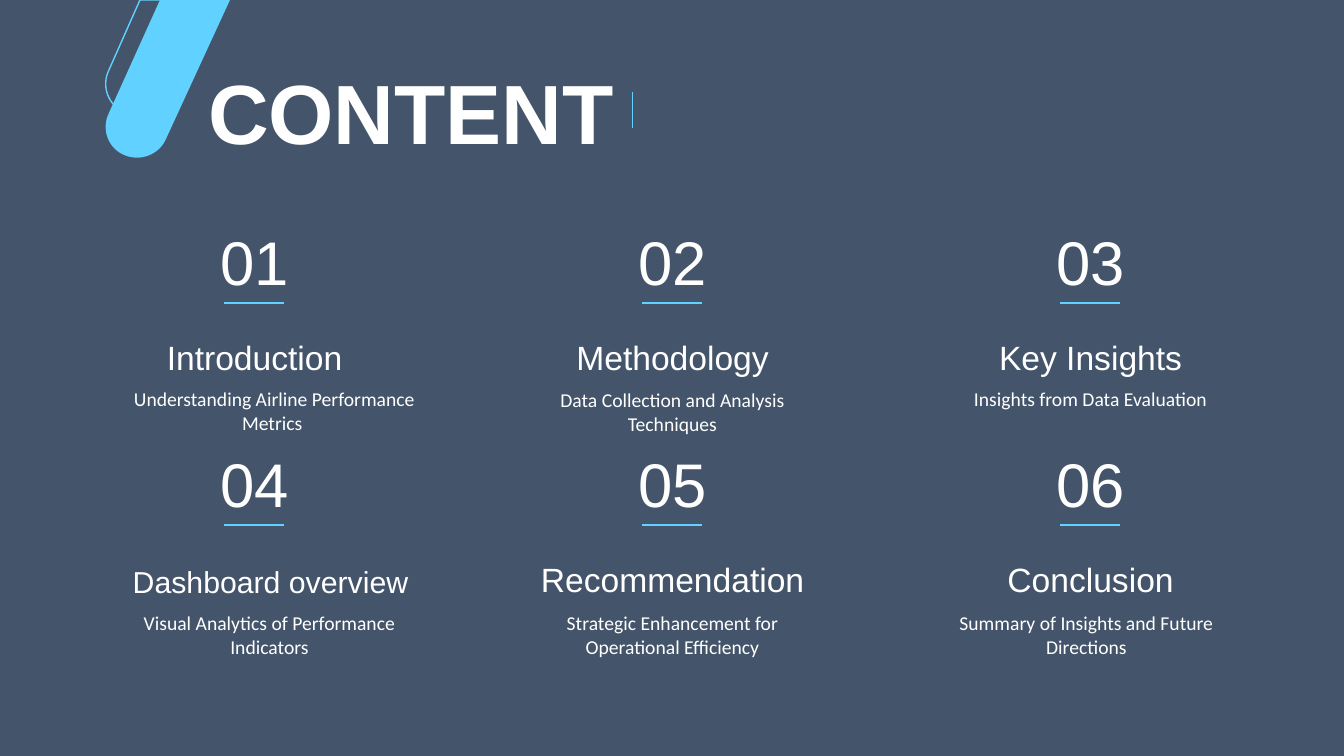
from pptx import Presentation
from pptx.dml.color import RGBColor
from pptx.enum.shapes import MSO_CONNECTOR
from pptx.enum.text import MSO_ANCHOR, PP_ALIGN
from pptx.oxml.ns import qn
from pptx.util import Emu, Pt
from lxml import etree

SCALE = 914400 / 100.8
STRAIGHT = MSO_CONNECTOR.STRAIGHT
TOP, MIDDLE, BOTTOM = MSO_ANCHOR.TOP, MSO_ANCHOR.MIDDLE, MSO_ANCHOR.BOTTOM
CENTER, RIGHT = PP_ALIGN.CENTER, PP_ALIGN.RIGHT
COLORS = {"background": "44546A", "accent": "61D2FF", "text": "FFFFFF"}

COLUMNS = 3
COLUMN_PITCH, ROW_PITCH = 418, 222
FIRST_ITEM = (109, 219, 291, 216)

# heading, heading width, heading size, detail, detail shift, detail top, detail width
ITEMS = [
    ("Introduction", 291, 24, "Understanding Airline Performance Metrics ", 20, 163, 312),
    ("Methodology", 291, 24, "Data Collection and Analysis Techniques", 0, 164, 272),
    ("Key Insights", 291, 24, "Insights from Data Evaluation", 0, 163, 272),
    ("Dashboard overview", 323, 21.6, "Visual Analytics of Performance Indicators", 15, 165, 301),
    ("Recommendation", 291, 24, "Strategic Enhancement for Operational Efficiency", 0, 165, 324),
    ("Conclusion", 291, 24, "Summary of Insights and Future Directions", -4, 165, 319),
]


def px(length):
    return Emu(round(length * SCALE))


def color(name):
    return RGBColor.from_string(COLORS[name])


def add_text(shapes, box, text, size, font, anchor=MIDDLE, align=CENTER, bold=False):
    label = shapes.add_textbox(*map(px, box))
    frame = label.text_frame
    frame.word_wrap = True
    frame.vertical_anchor = anchor
    para = frame.paragraphs[0]
    para.alignment = align
    span = para.add_run()
    span.text = text
    span.font.size = Pt(size)
    span.font.name = font
    span.font.bold = bold
    span.font.color.rgb = color("text")


def add_line(shapes, start, end, width):
    line = shapes.add_connector(STRAIGHT, *map(px, start + end))
    line.line.color.rgb = color("accent")
    line.line.width = Pt(width)
    etree.SubElement(line._element.spPr, qn("a:effectLst"))


def curve(points, steps=16):
    for step in range(1, steps + 1):
        t = step / steps
        weights = ((1 - t) ** 3, 3 * t * (1 - t) ** 2, 3 * t * t * (1 - t), t ** 3)
        yield tuple(sum(w * p[axis] for w, p in zip(weights, points)) for axis in (0, 1))


def add_slanted_bar(page, box, shoulder, end, filled):
    left, top, width = box
    x, y = shoulder
    tip = (x - 42, y + 16)
    outline = [(left + width, top), shoulder]
    outline += curve([shoulder, (x - 7, y + 16), (x - 26, y + 23), tip])
    outline += curve([tip, (x - 58, y + 9), (x - 65, y - 10), end])
    builder = page.shapes.build_freeform(px(left), px(top), scale=1)
    builder.add_line_segments([(px(a), px(b)) for a, b in outline], close=True)
    bar = builder.convert_to_shape()
    bar.shadow.inherit = False
    if filled:
        bar.fill.solid()
        bar.fill.fore_color.rgb = color("accent")
        bar.line.fill.background()
    else:
        bar.fill.background()
        bar.line.color.rgb = color("accent")
        bar.line.width = Pt(1)


def add_header(page, box):
    left, top, width, height = box
    add_slanted_bar(page, (160, 0, 70), (166, 139), (109, 113), True)
    add_slanted_bar(page, (140, 0, 71), (166, 96), (109, 70), False)
    add_text(page.shapes, box, "CONTENT", 60, "Arial", BOTTOM, RIGHT, True)
    rule_x = left + width + 8
    add_line(page.shapes, (rule_x, top + 38), (rule_x, top + 74), 0.5)


def add_item(page, box, number, item):
    heading, heading_width, heading_size, detail, shift, detail_top, detail_width = item
    left, top, width, height = box
    center = left + width / 2
    rule_y = top + 84
    shapes = page.shapes.add_group_shape().shapes
    add_text(shapes, (center - 68, top, 136, 84), f"{number:02}", 44, "Arial")
    add_line(shapes, (center - 30, rule_y), (center + 30, rule_y), 1.5)
    add_text(shapes, (left, rule_y, heading_width, 79), heading, heading_size, "Arial", BOTTOM)
    detail_left = center + shift - detail_width / 2
    add_text(shapes, (detail_left, top + detail_top, detail_width, 47), detail, 14, "Calibri", TOP)


def add_items(page, first_box):
    left, top, width, height = first_box
    for index, item in enumerate(ITEMS):
        row, column = divmod(index, COLUMNS)
        box = (left + column * COLUMN_PITCH, top + row * ROW_PITCH, width, height)
        add_item(page, box, index + 1, item)


def main():
    deck = Presentation()
    deck.slide_width, deck.slide_height = px(1344), px(756)
    page = deck.slides.add_slide(deck.slide_layouts[6])
    page.background.fill.solid()
    page.background.fill.fore_color.rgb = color("background")
    add_header(page, (148, 54, 476, 112))
    add_items(page, FIRST_ITEM)
    deck.save("out.pptx")


if __name__ == "__main__":
    main()
